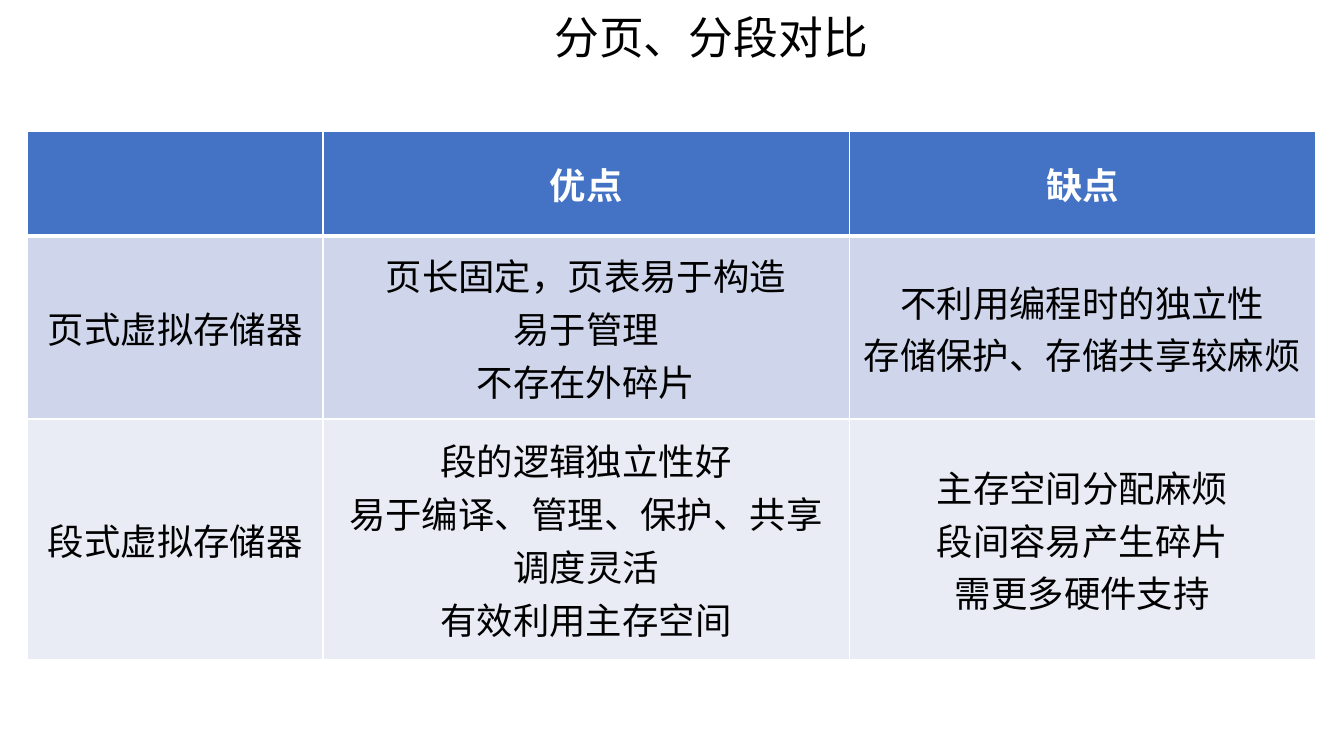
from dataclasses import dataclass

from lxml.etree import SubElement
from pptx import Presentation
from pptx.dml.color import RGBColor
from pptx.enum.text import MSO_ANCHOR, PP_ALIGN
from pptx.oxml.ns import qn
from pptx.util import Cm, Pt


@dataclass(frozen=True)
class Theme:
    typeface: str = "Noto Sans CJK SC"
    ink: str = "000000"
    paper: str = "FFFFFF"
    header: str = "4472C4"
    bands: tuple = ("CFD5EA", "E9EBF5")
    title_size: int = 32
    table_size: int = 26
    rule: int = 1
    header_rule: int = 3


TITLE = "分页、分段对比"
COMPARISON = [
    ["", "优点", "缺点"],
    [
        "页式虚拟存储器",
        "页长固定，页表易于构造\n易于管理\n不存在外碎片",
        "不利用编程时的独立性\n存储保护、存储共享较麻烦",
    ],
    [
        "段式虚拟存储器",
        "段的逻辑独立性好\n易于编译、管理、保护、共享\n调度灵活\n有效利用主存空间",
        "主存空间分配麻烦\n段间容易产生碎片\n需更多硬件支持",
    ],
]
COLUMN_WIDTHS = [7.44, 13.26, 11.76]
ROW_HEIGHTS = [2.64, 4.62, 6.05]


class SlideBuilder:
    def __init__(self, slide, theme):
        self.slide = slide
        self.theme = theme

    def wording(self, frame, wording, size, color, bold=False):
        frame.text = wording
        font_format = {"name": self.theme.typeface, "size": Pt(size), "bold": bold}
        for paragraph in frame.paragraphs:
            paragraph.alignment = PP_ALIGN.CENTER
            for run in paragraph.runs:
                for attribute, setting in font_format.items():
                    setattr(run.font, attribute, setting)
                run.font.color.rgb = RGBColor.from_string(color)
                east_asian = SubElement(run._r.get_or_add_rPr(), qn("a:ea"))
                east_asian.set("typeface", self.theme.typeface)

    def title(self, wording, left, top, width, height):
        box = self.slide.shapes.add_textbox(Cm(left), Cm(top), Cm(width), Cm(height))
        box.text_frame.word_wrap = True
        self.wording(box.text_frame, wording, self.theme.title_size, self.theme.ink)

    def border(self, cell, side, width):
        line = SubElement(cell._tc.get_or_add_tcPr(), qn(f"a:ln{side}"), w=str(Pt(width)))
        fill = SubElement(line, qn("a:solidFill"))
        SubElement(fill, qn("a:srgbClr"), val=self.theme.paper)

    def cell(self, cell, wording, row):
        theme = self.theme
        is_header = row == 0
        rules = dict.fromkeys("LRTB", theme.rule)
        if row < 2:
            rules["B" if is_header else "T"] = theme.header_rule
        for side, width in rules.items():
            self.border(cell, side, width)
        cell.fill.solid()
        background = theme.header if is_header else theme.bands[(row - 1) % 2]
        cell.fill.fore_color.rgb = RGBColor.from_string(background)
        cell.vertical_anchor = MSO_ANCHOR.MIDDLE
        color = theme.paper if is_header else theme.ink
        self.wording(cell.text_frame, wording, theme.table_size, color, is_header)

    def table(self, rows, left, top, widths, heights):
        table = self.slide.shapes.add_table(
            len(rows), len(widths), Cm(left), Cm(top), Cm(sum(widths)), Cm(sum(heights))
        ).table
        for column, width in zip(table.columns, widths):
            column.width = Cm(width)
        for table_row, height in zip(table.rows, heights):
            table_row.height = Cm(height)
        for row, wordings in enumerate(rows):
            for column, wording in enumerate(wordings):
                self.cell(table.cell(row, column), wording, row)


def main():
    presentation = Presentation()
    presentation.slide_width = Cm(33.87)
    presentation.slide_height = Cm(19.05)
    slide = presentation.slides.add_slide(presentation.slide_layouts[6])
    builder = SlideBuilder(slide, Theme())
    builder.title(TITLE, 10.29, 0.13, 15.27, 1.63)
    builder.table(COMPARISON, 0.7, 3.3, COLUMN_WIDTHS, ROW_HEIGHTS)
    presentation.save("out.pptx")


if __name__ == "__main__":
    main()
